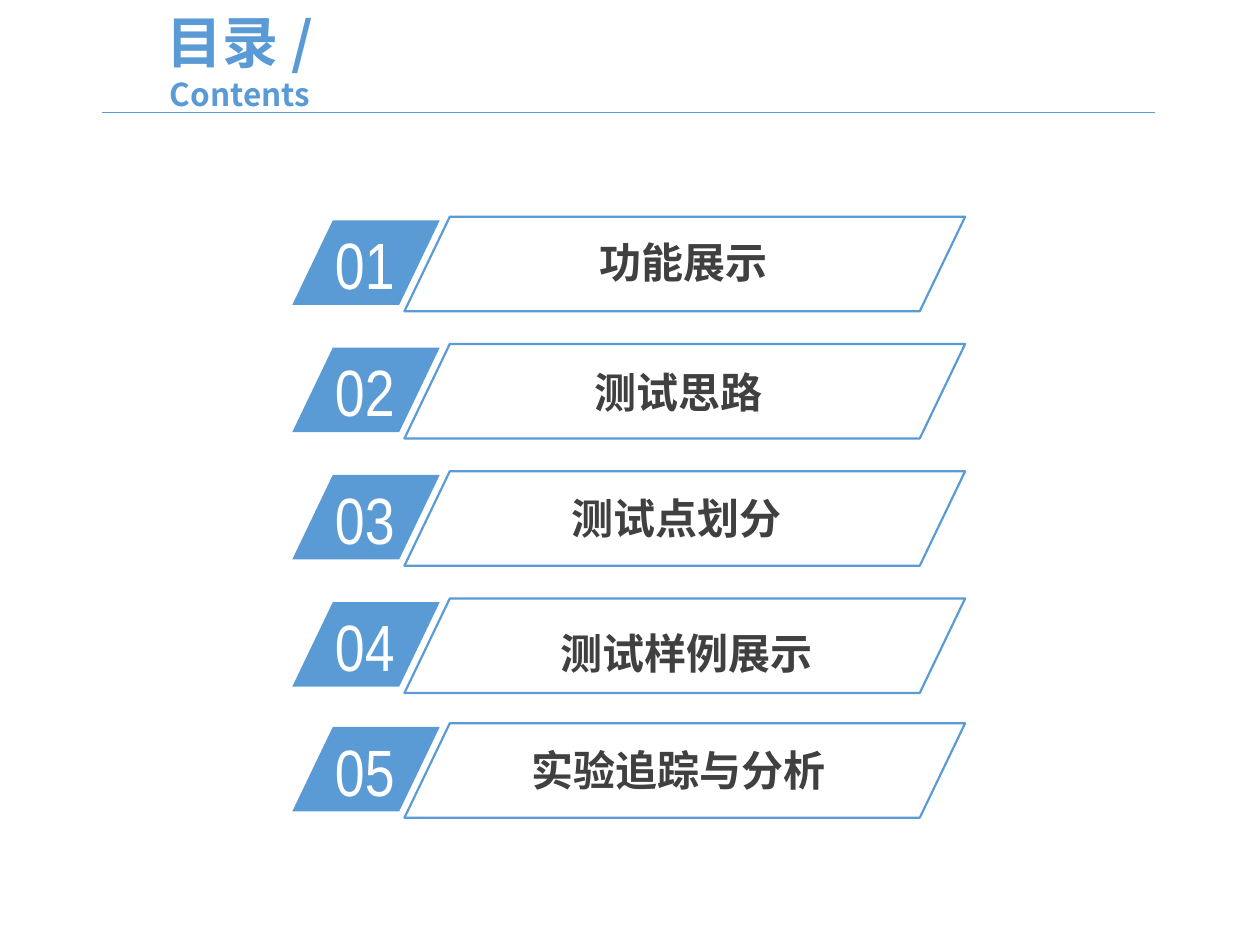
from lxml.etree import SubElement
from pptx import Presentation
from pptx.dml.color import RGBColor
from pptx.enum.shapes import MSO_CONNECTOR, MSO_SHAPE
from pptx.enum.text import MSO_ANCHOR, MSO_AUTO_SIZE, PP_ALIGN
from pptx.oxml.ns import qn
from pptx.util import Inches, Pt

COLORS = {"blue": "5B9BD5", "dark": "404040", "white": "FFFFFF"}
HAN = "Noto Sans CJK SC"
SLIM = "Arial Narrow"


def color(name):
    return RGBColor.from_string(COLORS[name])


class Page:
    """Style and current slide."""

    def __init__(self, deck):
        self.slide = deck.slides.add_slide(deck.slide_layouts[6])
        self.shapes = self.slide.shapes

    def group(self):
        """Send the next elements to a new group."""
        self.shapes = self.slide.shapes.add_group_shape().shapes

    def text(self, box, words, sizes, font, tint, bold=False):
        """Add a text box; sizes holds one size per run."""
        shape = self.shapes.add_textbox(*map(Inches, box))
        frame = shape.text_frame
        frame.word_wrap = True
        para = frame.paragraphs[0]
        para.text = words
        for run, size in zip(para.runs, sizes):
            run.font.size = Pt(size)
            run.font.name = font
            run.font.bold = bold
            run.font.color.rgb = color(tint)
            SubElement(run.font._element, qn("a:ea"), typeface=font)
        return frame

    def slant(self, box, fill=None, line=None):
        """Add a parallelogram, filled or outlined."""
        shape = self.shapes.add_shape(MSO_SHAPE.PARALLELOGRAM, *map(Inches, box))
        shape.adjustments[0] = 0.48
        shape.shadow.inherit = False
        if fill:
            shape.fill.solid()
            shape.fill.fore_color.rgb = color(fill)
        else:
            shape.fill.background()
        if line:
            shape.line.color.rgb = color(line)
            shape.line.width = Pt(1.25)
        else:
            shape.line.fill.background()

    def rule(self, left, right, top):
        """Add a thin horizontal line."""
        ends = map(Inches, (left, top, right, top))
        line = self.shapes.add_connector(MSO_CONNECTOR.STRAIGHT, *ends)
        line.line.color.rgb = color("blue")
        line.line.width = Pt(0.5)
        SubElement(line._element.spPr, qn("a:effectLst"))


def main():
    deck = Presentation()
    deck.slide_width, deck.slide_height = Inches(10), Inches(7.5)
    page = Page(deck)

    # Heading
    head = page.text((0.67, 0.21, 2.47, 0.54), "目录 /\vContents",
                     (32, 18), HAN, "blue", True)
    head.vertical_anchor = MSO_ANCHOR.MIDDLE
    head.paragraphs[0].alignment = PP_ALIGN.CENTER
    head.paragraphs[0].space_before = Pt(6.4)
    page.rule(0.81, 9.17, 0.89)

    # Entries: row top, then label text, left, top and width
    rows = [
        (1.72, "功能展示", 4.66, 1.83, 1.65),
        (2.73, "测试思路", 4.62, 2.86, 1.65),
        (3.74, "测试点划分", 4.44, 3.86, 2.09),
        (4.75, "测试样例展示", 4.35, 4.93, 2.29),
        (5.74, "实验追踪与分析", 4.12, 5.86, 2.63),
    ]
    for num, (top, label, left, high, width) in enumerate(rows, 1):
        page.group()
        page.slant((2.32, top + 0.03, 1.17, 0.67), fill="blue")
        digits = page.text((2.56, top + 0.01, 1.12, 0.73), f"{num:02}",
                           (37.4,), SLIM, "white")
        title = page.text((left, high, width, 0.5), label,
                          (24,), HAN, "dark", True)
        for frame in (digits, title):
            frame.auto_size = MSO_AUTO_SIZE.SHAPE_TO_FIT_TEXT
        page.slant((3.21, top, 4.45, 0.75), line="blue")

    deck.save("out.pptx")


if __name__ == "__main__":
    main()
